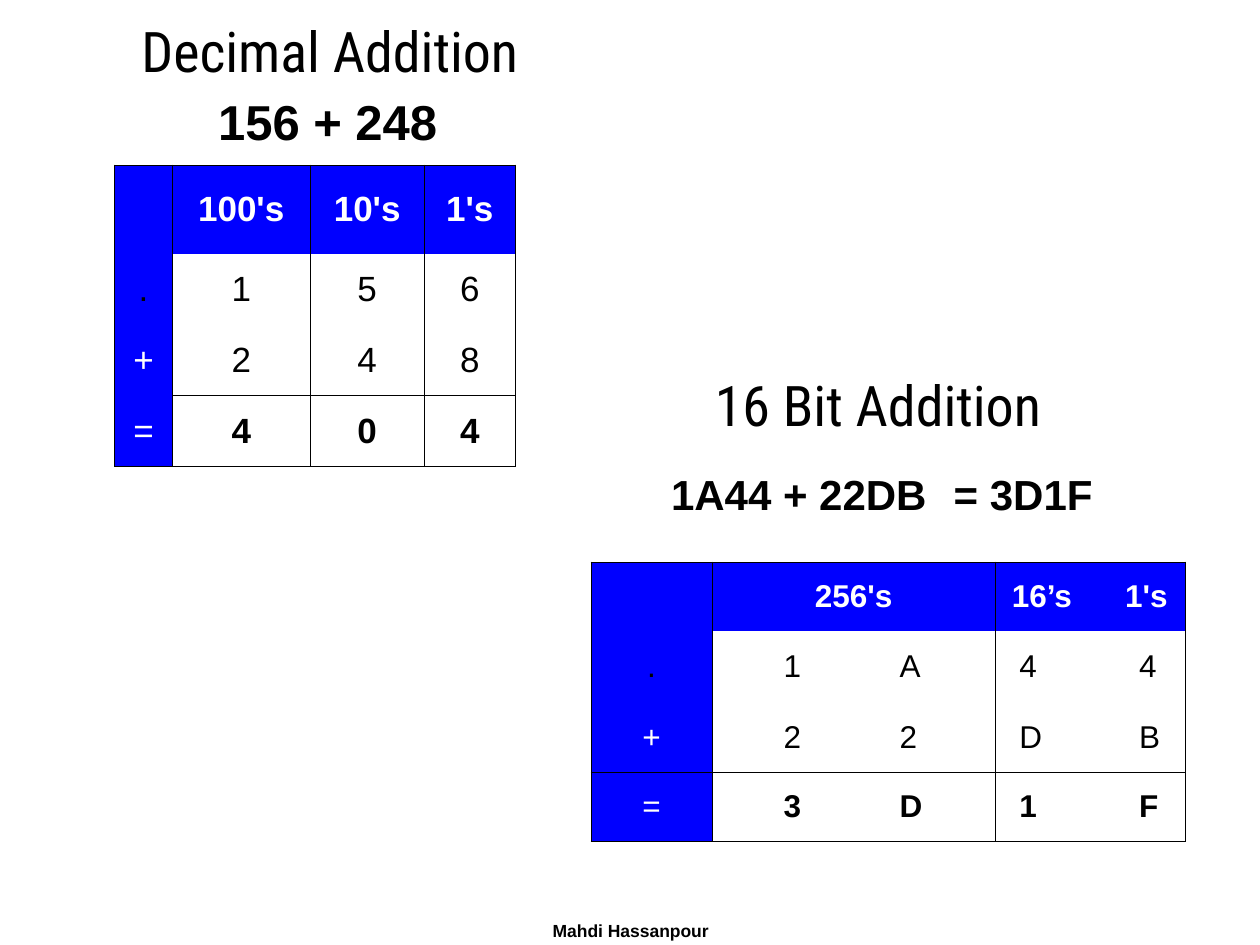
from dataclasses import dataclass, field

from lxml.etree import SubElement
from pptx import Presentation
from pptx.dml.color import RGBColor
from pptx.enum.text import MSO_ANCHOR as Anchor, MSO_AUTO_SIZE as AutoSize, PP_ALIGN as Align
from pptx.oxml.ns import qn
from pptx.util import Inches, Pt

COLORS = {"ink": "000000", "blue": "0000FF", "white": "FFFFFF"}
HEADING_FONT, BODY_FONT = "Roboto Condensed", "Arial"
LINE_WIDTH = Pt(0.45)


@dataclass
class Caption:
    text: str
    box: tuple[float, float, float, float]
    size: int
    font: str = BODY_FONT
    bold: bool = True
    space_before: int = 0
    anchor: Anchor = Anchor.TOP


@dataclass
class PairLayout:
    """Two digits in one cell: inset of the first, distance to the second."""
    inset: float
    gap: float


@dataclass
class Sum:
    left: float
    top: float
    columns: list[float]
    row_heights: list[float]
    rows: list[list[str]]
    size: int
    rule_from_column: int  # first column crossed by the line above the result
    pairs: dict[int, PairLayout] = field(default_factory=dict)
    header_pairs: dict[int, PairLayout] = field(default_factory=dict)


def add_run(paragraph, text: str, size: int, font: str, bold: bool, color: str) -> None:
    run = paragraph.add_run()
    run.text = text
    run.font.size, run.font.name, run.font.bold = Pt(size), font, bold
    run.font.color.rgb = RGBColor.from_string(COLORS[color])


def write_caption(shape, caption: Caption) -> None:
    shape.left, shape.top, shape.width, shape.height = map(Inches, caption.box)
    frame = shape.text_frame
    frame.word_wrap = True
    frame.auto_size = AutoSize.NONE
    frame.vertical_anchor = caption.anchor
    paragraph = frame.paragraphs[0]
    paragraph.alignment = Align.CENTER
    paragraph.space_before = Pt(caption.space_before)
    add_run(paragraph, caption.text, caption.size, caption.font, caption.bold, "ink")


def add_caption(slide, caption: Caption) -> None:
    write_caption(slide.shapes.add_textbox(*map(Inches, caption.box)), caption)


def set_borders(cell, top: bool, bottom: bool) -> None:
    properties = cell._tc.get_or_add_tcPr()
    for side, visible in (("L", True), ("R", True), ("T", top), ("B", bottom)):
        line = SubElement(properties, qn(f"a:ln{side}"), w=str(LINE_WIDTH))
        if visible:
            fill = SubElement(line, qn("a:solidFill"))
            SubElement(fill, qn("a:srgbClr"), val=COLORS["ink"])
        else:
            SubElement(line, qn("a:noFill"))


def set_tab(paragraph, position: float) -> None:
    tabs = SubElement(paragraph._p.get_or_add_pPr(), qn("a:tabLst"))
    SubElement(tabs, qn("a:tab"), pos=str(Inches(position)), algn="l")


def add_sum(slide, addition: Sum) -> None:
    last = len(addition.rows) - 1
    table = slide.shapes.add_table(
        len(addition.rows), len(addition.columns),
        Inches(addition.left), Inches(addition.top),
        Inches(sum(addition.columns)), Inches(sum(addition.row_heights))).table
    table.first_row = table.horz_banding = False
    for column, width in zip(table.columns, addition.columns):
        column.width = Inches(width)
    for row, height in zip(table.rows, addition.row_heights):
        row.height = Inches(height)

    for r, row in enumerate(addition.rows):
        for c, text in enumerate(row):
            cell = table.cell(r, c)
            # Lines: outline, columns, and the rule above the result
            ruled = {0, last + 1} | ({last} if c >= addition.rule_from_column else set())
            set_borders(cell, r in ruled, r + 1 in ruled)
            is_blue = r == 0 or c == 0
            if is_blue:
                cell.fill.solid()
                cell.fill.fore_color.rgb = RGBColor.from_string(COLORS["blue"])
            else:
                cell.fill.background()
            cell.vertical_anchor = Anchor.MIDDLE

            # Digits: single ones centred, pairs set on a tab stop
            paragraph = cell.text_frame.paragraphs[0]
            pair = (addition.header_pairs if r == 0 else addition.pairs).get(c)
            if pair:
                cell.margin_left = Inches(pair.inset)
                paragraph.alignment = Align.LEFT
                set_tab(paragraph, pair.gap)
            else:
                paragraph.alignment = Align.CENTER
            if text:
                color = "white" if is_blue and text != "." else "ink"
                bold = c > 0 and r in (0, last)
                add_run(paragraph, text, addition.size, BODY_FONT, bold, color)


DECIMAL_TITLE = Caption("Decimal Addition", (0.51, 0, 4.22, 0.79), 32,
                        HEADING_FONT, False, anchor=Anchor.MIDDLE)
DECIMAL_TASK = Caption("156 + 248", (0.83, 0.68, 3.54, 0.69), 28, space_before=7)
OTHER_CAPTIONS = [
    Caption("16 Bit Addition", (5.08, 2.88, 3.78, 0.65), 32,
            HEADING_FONT, False, anchor=Anchor.MIDDLE),
    Caption("1A44 + 22DB", (5, 3.67, 2.68, 0.69), 24, space_before=6),
    Caption("= 3D1F", (7.36, 3.67, 1.52, 0.5), 24, space_before=6),
    Caption("Mahdi Hassanpour", (3.42, 7.25, 3.17, 0.25), 10),
]
DECIMAL_SUM = Sum(
    0.91, 1.31, [0.46, 1.09, 0.91, 0.72], [0.71, 0.56, 0.56, 0.56],
    [["", "100's", "10's", "1's"],
     [".", "1", "5", "6"],
     ["+", "2", "4", "8"],
     ["=", "4", "0", "4"]],
    size=20, rule_from_column=1)
HEX_SUM = Sum(
    4.69, 4.46, [0.96, 2.25, 1.51], [0.55, 0.56, 0.56, 0.55],
    [["", "256's", "16’s\t1's"],
     [".", "1\tA", "4\t4"],
     ["+", "2\t2", "D\tB"],
     ["=", "3\tD", "1\tF"]],
    size=18, rule_from_column=0,
    pairs={1: PairLayout(0.57, 0.92), 2: PairLayout(0.19, 0.95)},
    header_pairs={2: PairLayout(0.13, 0.9)})


def main() -> None:
    deck = Presentation()
    deck.slide_width, deck.slide_height = Inches(10), Inches(7.5)
    slide = deck.slides.add_slide(deck.slide_layouts[0])

    # Decimal addition
    write_caption(slide.shapes.title, DECIMAL_TITLE)
    write_caption(slide.placeholders[1], DECIMAL_TASK)
    add_sum(slide, DECIMAL_SUM)

    # 16 bit addition and author line
    for caption in OTHER_CAPTIONS:
        add_caption(slide, caption)
    add_sum(slide, HEX_SUM)

    deck.save("out.pptx")


if __name__ == "__main__":
    main()
